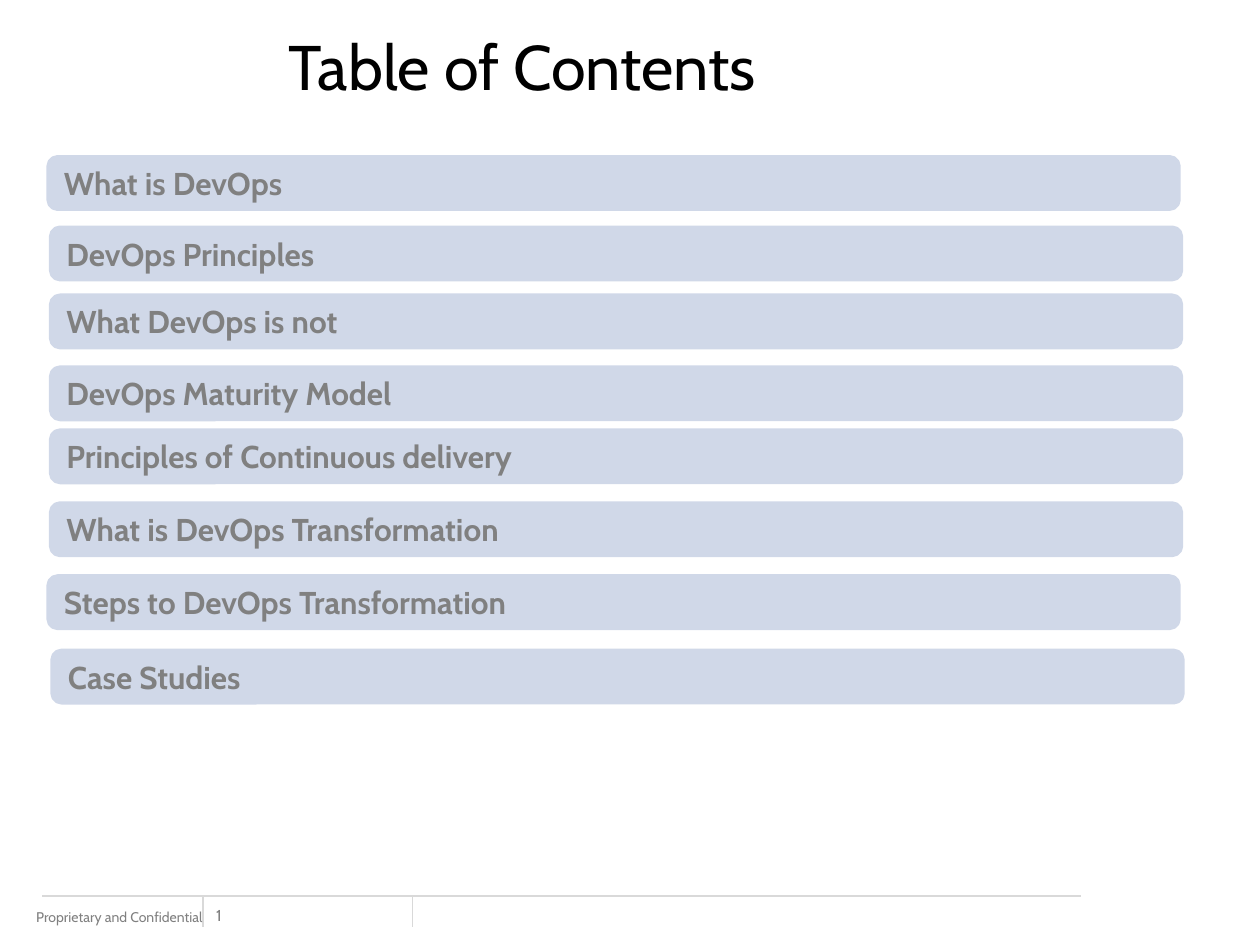
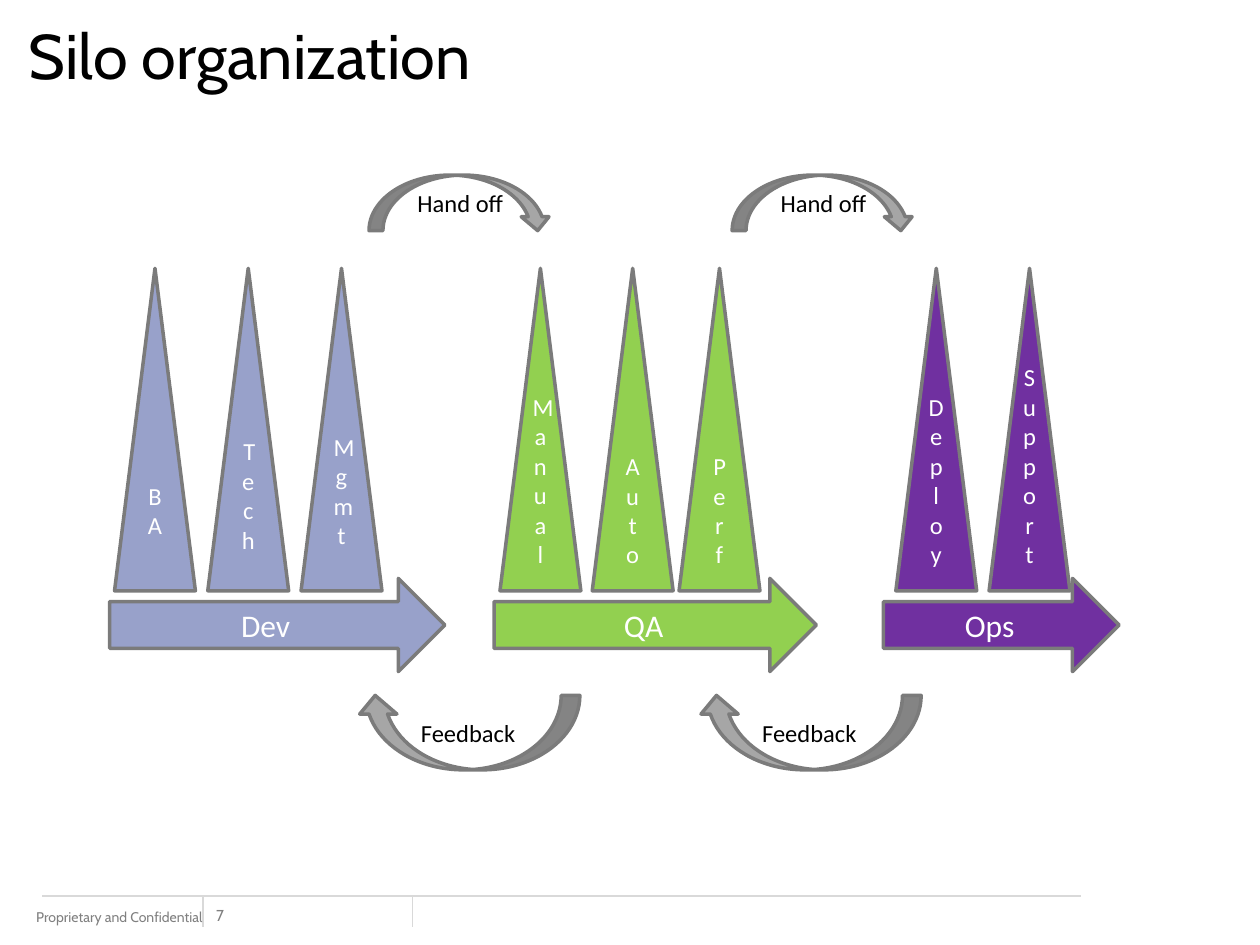
from lxml.etree import SubElement
from pptx import Presentation
from pptx.dml.color import RGBColor
from pptx.enum.shapes import MSO_CONNECTOR, MSO_SHAPE
from pptx.enum.text import MSO_ANCHOR, PP_ALIGN
from pptx.oxml.ns import qn
from pptx.util import Cm, Pt

BLACK = RGBColor(0x00, 0x00, 0x00)
WHITE = RGBColor(0xFF, 0xFF, 0xFF)
GRAY = RGBColor(0x80, 0x80, 0x80)
RULE_GRAY = RGBColor(0xD9, 0xD9, 0xD9)
OUTLINE_GRAY = RGBColor(0x7B, 0x7B, 0x7B)
ARROW_GRAY = RGBColor(0xA6, 0xA6, 0xA6)
BAR_BLUE = RGBColor(0xD0, 0xD8, 0xE8)
DEV_BLUE = RGBColor(0x98, 0xA1, 0xCA)
QA_GREEN = RGBColor(0x92, 0xD0, 0x50)
OPS_PURPLE = RGBColor(0x70, 0x30, 0xA0)


def write(box, text, size, font="Cabin", color=GRAY, bold=False,
          align=PP_ALIGN.LEFT, anchor=MSO_ANCHOR.TOP, wrap=True):
    frame = box.text_frame
    frame.word_wrap = wrap
    frame.vertical_anchor = anchor
    para = frame.paragraphs[0]
    para.alignment = align
    span = para.add_run()
    span.text = text
    span.font.size = Pt(size)
    span.font.name = font
    span.font.bold = bold
    span.font.color.rgb = color


def add_block(page, kind, place, fill, outline, outline_width, text, size, **text_format):
    block = page.shapes.add_shape(kind, *map(Cm, place))
    block.shadow.inherit = False
    block.fill.solid()
    block.fill.fore_color.rgb = fill
    block.line.color.rgb = outline
    block.line.width = Pt(outline_width)
    write(block, text, size, anchor=MSO_ANCHOR.MIDDLE, **text_format)
    return block


deck = Presentation()
deck.slide_width = Cm(25.4)
deck.slide_height = Cm(19.05)

footer_rules = [
    (21.79, 18.06, 0.84, 18.06),
    (4.09, 18.06, 4.09, 18.69),
    (8.31, 18.06, 8.31, 18.69),
]
page_heads = [
    ("Table of Contents", "1", (0.2, 0.43, 20.65, 1.42), PP_ALIGN.CENTER),
    ("Silo organization", "7", (0.33, 0.2, 21.89, 1.98), PP_ALIGN.LEFT),
]
pages = []
for title, number, title_place, title_align in page_heads:
    page = deck.slides.add_slide(deck.slide_layouts[6])
    pages.append(page)
    for ends in footer_rules:
        rule = page.shapes.add_connector(MSO_CONNECTOR.STRAIGHT, *map(Cm, ends))
        rule.line.color.rgb = RULE_GRAY
        rule.line.width = Pt(0.75)
        SubElement(rule.element.spPr, qn("a:effectLst"))
    notice = page.shapes.add_textbox(Cm(0.48), Cm(18.19), Cm(3.99), Cm(0.61))
    write(notice, "Proprietary and Confidential", 8, wrap=False)
    number_box = page.shapes.add_textbox(Cm(4.11), Cm(18.14), Cm(0.84), Cm(0.64))
    write(number_box, number, 9, wrap=False)
    title_box = page.shapes.add_textbox(*map(Cm, title_place))
    write(title_box, title, 36, color=BLACK, align=title_align)

contents_page, silo_page = pages

topics = [
    ("What is DevOps", 0.99, 3.18),
    ("DevOps Principles", 1.04, 4.6),
    ("What DevOps is not", 1.04, 5.97),
    ("DevOps Maturity Model", 1.04, 7.42),
    ("Principles of Continuous delivery", 1.04, 8.69),
    ("What is DevOps Transformation", 1.04, 10.16),
    ("Steps to DevOps Transformation", 0.99, 11.63),
    ("Case Studies", 1.07, 13.13),
]
for topic, left, top in topics:
    add_block(contents_page, MSO_SHAPE.ROUNDED_RECTANGLE, (left, top, 22.76, 1.02),
              BAR_BLUE, BAR_BLUE, 3, topic, 18, bold=True)

silo_text = {"font": "Calibri", "color": WHITE, "align": PP_ALIGN.CENTER}
departments = [
    ("Dev", DEV_BLUE, 2.21, 6.76,
     [("BA", 2.31, 0), ("Tech", 4.19, 0.6), ("Mgmt", 6.07, 0.78)]),
    ("QA", QA_GREEN, 9.96, 6.5,
     [("Manual", 10.08, 1.2), ("Auto", 11.94, 0), ("Perf", 13.69, 0)]),
    ("Ops", OPS_PURPLE, 17.81, 4.75,
     [("Deploy", 18.06, 1.2), ("Support", 19.94, 1.8)]),
]
for department, color, arrow_left, arrow_width, silos in departments:
    add_block(silo_page, MSO_SHAPE.RIGHT_ARROW, (arrow_left, 11.66, arrow_width, 1.88),
              color, OUTLINE_GRAY, 2, department, 18, **silo_text)
    for team, left, lift in silos:
        silo = add_block(silo_page, MSO_SHAPE.FLOWCHART_EXTRACT, (left, 5.41, 1.63, 6.5),
                         color, OUTLINE_GRAY, 2, team, 14, **silo_text)
        silo.text_frame.margin_bottom = Cm(0.13 + lift)

flow_text = {"font": "Calibri", "color": BLACK, "align": PP_ALIGN.CENTER}
for left in (7.19, 14.07):
    feedback = add_block(silo_page, MSO_SHAPE.CURVED_UP_ARROW, (left, 14.02, 4.5, 1.5),
                         ARROW_GRAY, OUTLINE_GRAY, 2, "Feedback", 14, **flow_text)
    feedback.element.spPr.find(qn("a:xfrm")).set("flipH", "1")
for left in (7.44, 14.76):
    add_block(silo_page, MSO_SHAPE.CURVED_DOWN_ARROW, (left, 3.53, 3.68, 1.12),
              ARROW_GRAY, OUTLINE_GRAY, 2, "Hand off", 14, **flow_text)

deck.save("out.pptx")
